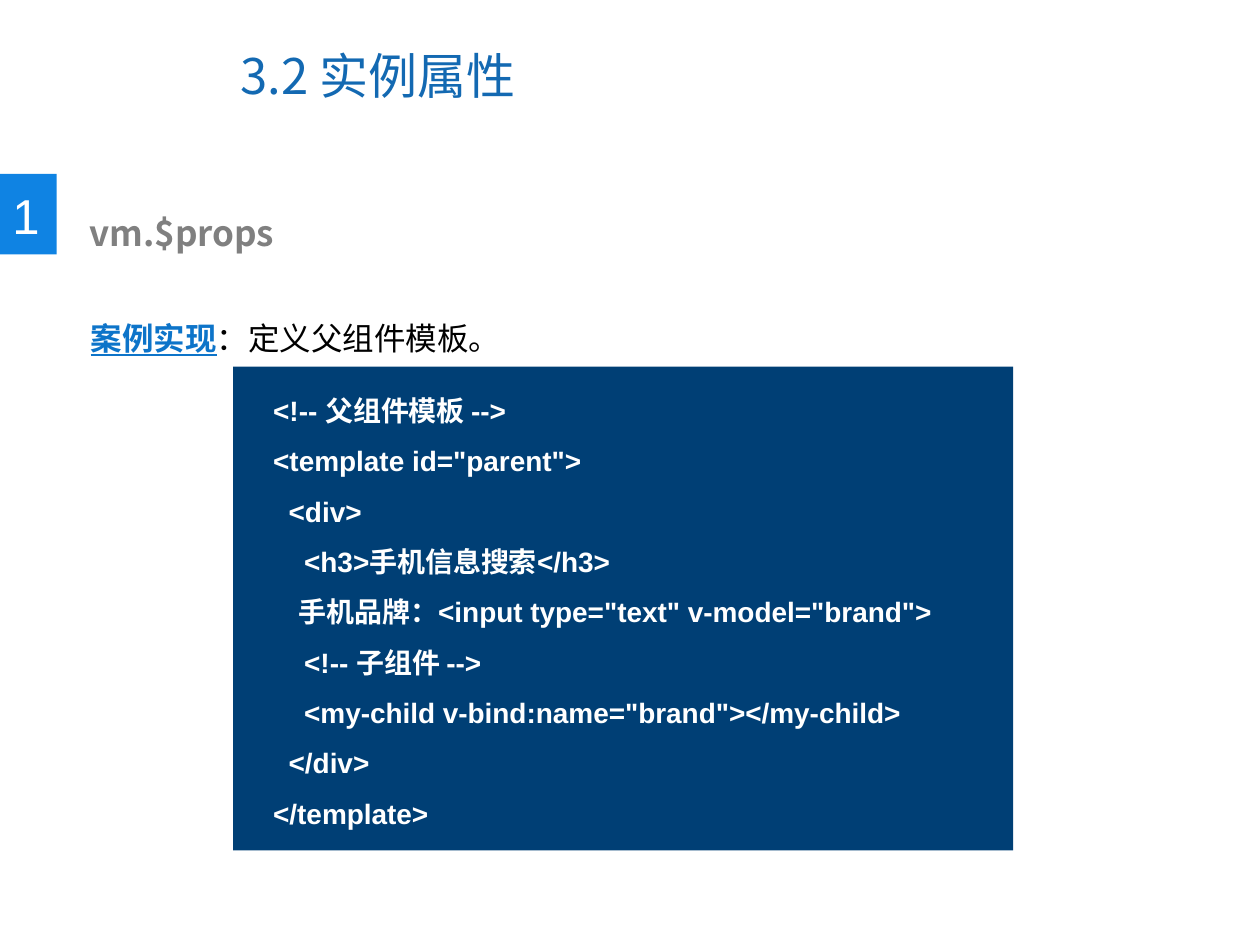
"""Build the slide on the vm.$props instance property."""
from lxml import etree
from pptx import Presentation
from pptx import util as u
from pptx.dml.color import RGBColor
from pptx.enum import shapes, text
from pptx.oxml import ns

BLUE = RGBColor(0x13, 0x69, 0xB2)
LINK = RGBColor(0x0D, 0x74, 0xC9)
BADGE = RGBColor(0x0F, 0x83, 0xE3)
NAVY = RGBColor(0x00, 0x3F, 0x75)
GRAY = RGBColor(0x80, 0x80, 0x80)
BLACK = RGBColor(0, 0, 0)
WHITE = RGBColor(255, 255, 255)
LATIN = "Arial"
HAN = "Noto Sans CJK SC"

CODE = """<!-- 父组件模板 -->
<template id="parent">
  <div>
    <h3>手机信息搜索</h3>
    手机品牌：<input type="text" v-model="brand">
    <!-- 子组件 -->
    <my-child v-bind:name="brand"></my-child>
  </div>
</template>"""


def add_run(para, words, size=18, color=BLACK, face=LATIN, bold=False, line=False):
    run = para.add_run()
    run.text = words
    font = run.font
    font.name, font.size = face, u.Pt(size)
    font.bold, font.underline = bold, line
    font.color.rgb = color
    east = etree.Element(ns.qn("a:ea"), typeface=HAN)
    font._element.find(ns.qn("a:latin")).addnext(east)


class Deck:
    def __init__(self):
        self.prs = Presentation()
        self.prs.slide_width, self.prs.slide_height = u.Inches(10), u.Inches(7.5)
        self.slide = self.prs.slides.add_slide(self.prs.slide_layouts[6])

    def rect(self, box, color):
        shape = self.slide.shapes.add_shape(
            shapes.MSO_SHAPE.RECTANGLE, *map(u.Inches, box))
        shape.shadow.inherit = False
        shape.fill.solid()
        shape.fill.fore_color.rgb = color
        shape.line.fill.background()

    def text(self, box, lines, space=1.0, wrap=True, middle=False, **style):
        frame = self.slide.shapes.add_textbox(*map(u.Inches, box)).text_frame
        frame.word_wrap = wrap
        if middle:
            frame.vertical_anchor = text.MSO_ANCHOR.MIDDLE
        for i, runs in enumerate(lines):
            para = frame.add_paragraph() if i else frame.paragraphs[0]
            para.line_spacing = space
            for words, extra in runs:
                add_run(para, words, **{**style, **extra})


def main():
    deck = Deck()
    deck.text((1.81, 0.17, 5.16, 0.85), [[("3.2 实例属性", {})]],
              middle=True, size=28, color=BLUE, face=HAN)
    deck.text((0.62, 2.18, 8.65, 0.71),
              [[("案例实现", {"color": LINK, "bold": True, "line": True}),
                ("：定义父组件模板。", {})]], space=2.0)
    deck.rect((0, 1.38, 0.45, 0.64), BADGE)
    deck.text((0, 1.42, 0.42, 0.57), [[("1", {})]],
              wrap=False, size=28, color=WHITE)
    deck.text((0.61, 1.63, 5, 0.44), [[("vm.$props", {})]],
              size=20, color=GRAY, face=HAN, bold=True)
    deck.rect((1.85, 2.91, 6.19, 3.84), NAVY)
    deck.text((2.07, 2.94, 5.95, 3.81),
              [[(line, {})] for line in CODE.splitlines()],
              space=1.5, size=16, color=WHITE, bold=True)
    deck.prs.save("out.pptx")


if __name__ == "__main__":
    main()
